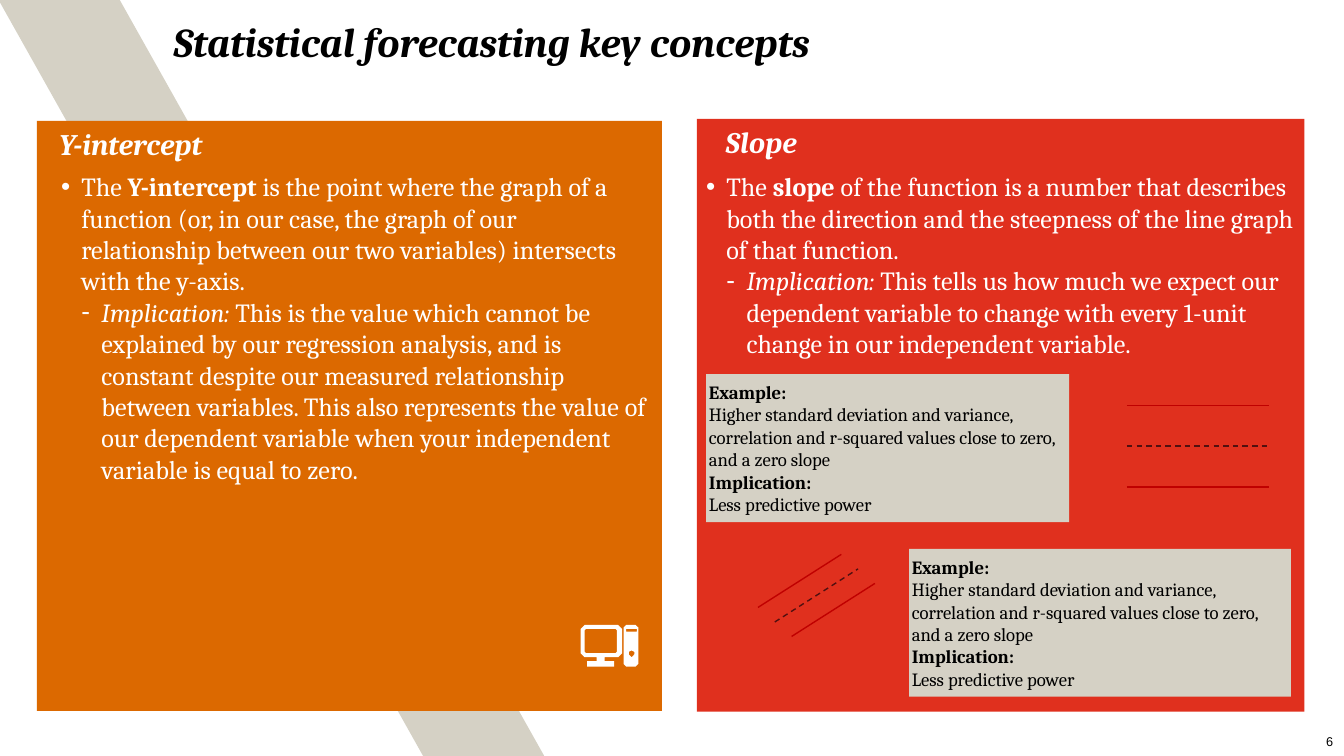
"""Build a slide that explains the Y-intercept and the slope in statistical forecasting."""
from lxml.etree import SubElement
from pptx import Presentation
from pptx.dml.color import RGBColor
from pptx.enum.dml import MSO_LINE_DASH_STYLE as Dash
from pptx.enum.shapes import MSO_CONNECTOR as Connector, MSO_SHAPE as Preset
from pptx.enum.text import MSO_ANCHOR as Anchor, PP_ALIGN as Align
from pptx.oxml.ns import qn
from pptx.util import Inches, Pt

COLORS = {"orange": "DC6900", "red": "E0301E", "sand": "D5D1C5", "white": "FFFFFF",
          "black": "000000", "outer": "C00000", "middle": "511010"}
WIDTH = Inches(10)
HEIGHT = WIDTH * 9 // 16
UNIT = WIDTH / 100
HEADING_HEIGHT, BODY_TOP, BODY_WIDTH = 2.6, 12.7, 44

PANELS = [
    {"color": "orange", "at": (2.75, 9, 46.5, 43.9),
     "heading": "Y-intercept", "heading_at": (4.4, 9.35), "body_left": 4.55, "body_height": 23.6,
     "body": [
         ("•", [("The ", ""), ("Y-intercept ", "b"),
                ("is the point where the graph of a function (or, in our case, the graph of our "
                 "relationship between our two variables) intersects with the y-axis.", "")]),
         ("-", [("Implication:", "i"),
                (" This is the value which cannot be explained by our regression analysis, and is "
                 "constant despite our measured relationship between variables. This also represents "
                 "the value of our dependent variable when your independent variable is equal to "
                 "zero.", "")])]},
    {"color": "red", "at": (51.85, 8.85, 45.2, 44.1),
     "heading": "Slope", "heading_at": (54, 9.2), "body_left": 52.55, "body_height": 14.1,
     "body": [
         ("•", [("The ", ""), ("slope ", "b"),
                ("of the function is a number that describes both the direction and the steepness "
                 "of the line graph of that function.", "")]),
         ("-", [("Implication: ", "i"),
                ("This tells us how much we expect our dependent variable to change with every "
                 "1-unit change in our independent variable.", "")])]},
]
EXAMPLE = [
    ("Example:", True),
    ("Higher standard deviation and variance, correlation and r-squared values close to zero, "
     "and a zero slope", False),
    ("Implication:", True),
    ("Less predictive power", False),
]
EXAMPLE_SPOTS = [(52.55, 27.85, 27, 11), (67.65, 40.85, 28.4, 11)]
LINE_GROUPS = [
    {"start": (83.85, 30.15), "step": (0, 3.05), "run": (10.6, 0)},
    {"start": (56.4, 45.2), "step": (1.25, 1.08), "run": (6.2, -3.95)},
]
LINE_STYLES = [("outer", None), ("middle", Dash.DASH), ("outer", None)]

ICON_AT = (43.2, 46.5)
ICON_ROUNDED = [(3, 3, 24, 18, 1), (32, 0, 11, 31, 2), (36, 19, 4, 5, 1.5), (34, 3, 8, 2, 0.5)]
MONITOR = [(3, 0), (28, 0), (31, 3), (31, 21), (28, 24), (18, 24), (18, 27), (25, 27), (25, 31),
           (5, 31), (5, 27), (12, 27), (12, 24), (3, 24), (0, 21), (0, 3)]


def color(name):
    return RGBColor.from_string(COLORS[name])


def units(*values):
    return [round(value * UNIT) for value in values]


def set_font(para, size, name, face="Cambria", bold=None, italic=None):
    font = para.font
    font.size, font.name, font.bold, font.italic = Pt(size), face, bold, italic
    font.color.rgb = color(name)


def paint(shape, name):
    shape.shadow.inherit = False
    shape.fill.solid()
    shape.fill.fore_color.rgb = color(name)
    shape.line.fill.background()
    return shape


def add_block(page, kind, at, name):
    return paint(page.shapes.add_shape(kind, *units(*at)), name)


def add_text_box(page, at):
    frame = page.shapes.add_textbox(*units(*at)).text_frame
    frame.word_wrap = True
    frame.margin_left = frame.margin_right = frame.margin_top = frame.margin_bottom = 0
    return frame


def add_label(page, at, text, size, name, **style):
    para = add_text_box(page, at).paragraphs[0]
    para.text = text
    set_font(para, size, name, **style)
    return para


def next_para(frame, index):
    return frame.add_paragraph() if index else frame.paragraphs[0]


def add_body(page, at, items):
    frame = add_text_box(page, at)
    for index, (mark, spans) in enumerate(items):
        para = next_para(frame, index)
        props = para._p.get_or_add_pPr()
        props.set("marL", str(Inches(0.15 * (index + 1))))
        props.set("indent", str(-Inches(0.15)))
        SubElement(props, qn("a:buFont")).set("typeface", "Arial")
        SubElement(props, qn("a:buChar")).set("char", mark)
        set_font(para, 14, "white")
        for text, style in spans:
            span = para.add_run()
            span.text = text
            span.font.bold, span.font.italic = "b" in style, "i" in style


def add_example(page, at):
    frame = add_block(page, Preset.RECTANGLE, at, "sand").text_frame
    frame.word_wrap, frame.vertical_anchor = True, Anchor.MIDDLE
    frame.margin_left = frame.margin_right = Inches(0.02)
    frame.margin_top = frame.margin_bottom = Inches(0.01)
    for index, (text, bold) in enumerate(EXAMPLE):
        para = next_para(frame, index)
        para.text, para.alignment = text, Align.LEFT
        set_font(para, 10, "black", bold=bold)


def add_lines(page, start, step, run):
    for index, (name, dash) in enumerate(LINE_STYLES):
        left, top = (origin + index * gap for origin, gap in zip(start, step))
        line = page.shapes.add_connector(
            Connector.STRAIGHT, *units(left, top, left + run[0], top + run[1]))
        line.line.color.rgb, line.line.width = color(name), Pt(0.75)
        if dash:
            line.line.dash_style = dash
        SubElement(line._element.spPr, qn("a:effectLst"))


def rounded(left, top, width, height, cut):
    right, bottom = left + width, top + height
    return [(left + cut, top), (right - cut, top), (right, top + cut), (right, bottom - cut),
            (right - cut, bottom), (left + cut, bottom), (left, bottom - cut), (left, top + cut)]


def add_computer(page):
    builder = page.shapes.build_freeform(*MONITOR[0], scale=UNIT / 10)
    builder.add_line_segments(MONITOR[1:], close=True)
    for outline in (rounded(*part) for part in ICON_ROUNDED):
        builder.move_to(*outline[0])
        builder.add_line_segments(outline[1:], close=True)
    paint(builder.convert_to_shape(*units(*ICON_AT)), "white")


def main():
    deck = Presentation()
    deck.slide_width, deck.slide_height = WIDTH, HEIGHT
    page = deck.slides.add_slide(deck.slide_layouts[6])

    band = add_block(page, Preset.PARALLELOGRAM, (-0.1, 0, 40.6, 56.25), "sand")
    band.adjustments[0] = 0.778
    band._element.spPr.find(qn("a:xfrm")).set("flipH", "1")

    add_label(page, (12.9, 1.2, 84, 4.4), "Statistical forecasting key concepts", 22, "black",
              bold=True, italic=True)
    number = add_label(page, (79.7, 54.6, 19.5, 1.6), "6", 6.8, "black", face="Arial")
    number.alignment = Align.RIGHT

    for panel in PANELS:
        add_block(page, Preset.RECTANGLE, panel["at"], panel["color"])
        add_label(page, (*panel["heading_at"], 24, HEADING_HEIGHT), panel["heading"], 16, "white",
                  bold=True, italic=True)
        add_body(page, (panel["body_left"], BODY_TOP, BODY_WIDTH, panel["body_height"]),
                 panel["body"])
    for spot in EXAMPLE_SPOTS:
        add_example(page, spot)
    for group in LINE_GROUPS:
        add_lines(page, **group)
    add_computer(page)
    deck.save("out.pptx")


if __name__ == "__main__":
    main()
